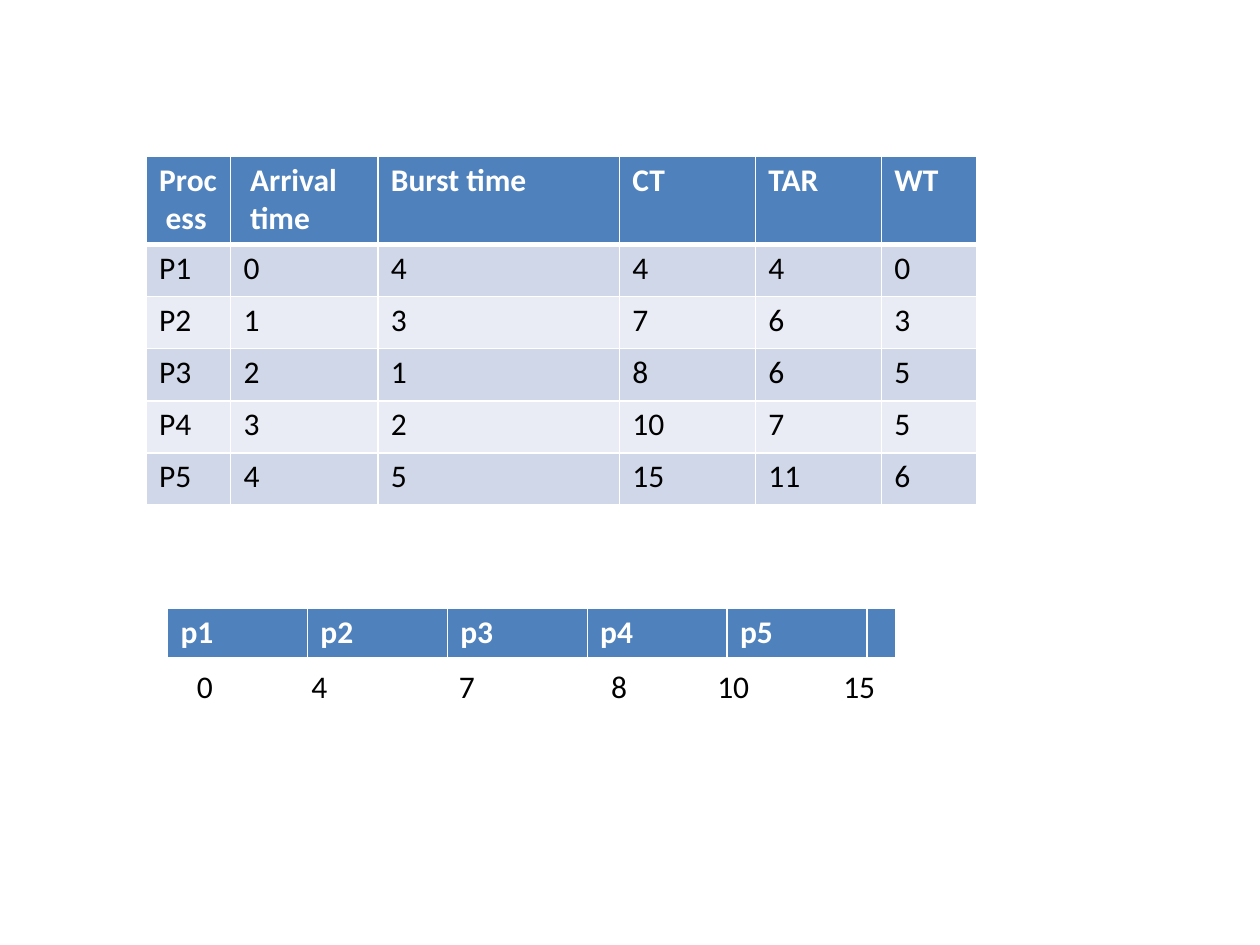
from lxml import etree
from pptx import Presentation
from pptx.dml.color import RGBColor
from pptx.oxml.ns import qn
from pptx.util import Cm, Pt

HEX = {"head": "4F81BC", "odd": "D0D7E8", "even": "E9ECF4",
       "white": "FFFFFF", "black": "000000"}
FONT, SIZE = "Calibri", 18
THIN, THICK = 1, 3
STEP = 0.13  # extra indent of the two-line headings, cm

HEADS = ["Proc\vess", "Arrival\vtime", "Burst time", "CT", "TAR", "WT"]
INDENT = {"Proc\vess": (STEP, -STEP), "Arrival\vtime": (STEP, 0)}
TIMES = [
    ("P1", 0, 4, 4, 4, 0),
    ("P2", 1, 3, 7, 6, 3),
    ("P3", 2, 1, 8, 6, 5),
    ("P4", 3, 2, 10, 7, 5),
    ("P5", 4, 5, 15, 11, 6),
]
TIME_COLS = [1.7, 2.97, 4.87, 2.74, 2.54, 1.91]
TIME_ROWS = [1.78] + [1.05] * len(TIMES)

GANTT = ["p1", "p2", "p3", "p4", "p5", ""]
GANTT_COLS = [2.82] * 5 + [0.58]
TICKS = [(0, 3.94), (4, 6.25), (7, 9.22), (8, 12.29), (10, 14.43), (15, 16.97)]


def put(frame, text, color="black", bold=False, left=0.26, top=0.1,
        indent=(0, 0)):
    """Fill a text frame or cell frame; indent is (margin, first line) in cm."""
    frame.word_wrap = True
    frame.margin_left, frame.margin_top = Cm(left), Cm(top)
    frame.margin_right = frame.margin_bottom = 0
    para = frame.paragraphs[0]
    para.text = str(text)
    margin, first = indent
    props = para._p.get_or_add_pPr()
    props.set("marL", str(Cm(margin)))
    props.set("indent", str(Cm(first)))
    for font in [para.font] + [run.font for run in para.runs]:
        font.name, font.size, font.bold = FONT, Pt(SIZE), bold
        font.color.rgb = RGBColor.from_string(HEX[color])


def edge(cell, top, bottom):
    props = cell._tc.get_or_add_tcPr()
    sides = {"lnL": THIN, "lnR": THIN, "lnT": top, "lnB": bottom}
    for tag, width in sides.items():
        line = etree.SubElement(props, qn("a:" + tag), w=str(Pt(width)))
        fill = etree.SubElement(line, qn("a:solidFill"))
        etree.SubElement(fill, qn("a:srgbClr"), val=HEX["white"])


def grid(slide, rows, left, top, widths, heights):
    """Draw a table whose first row is a heading and whose others are banded."""
    table = slide.shapes.add_table(
        len(rows), len(widths), Cm(left), Cm(top),
        Cm(sum(widths)), Cm(sum(heights))).table
    table.horz_banding = False
    for col, width in zip(table.columns, widths):
        col.width = Cm(width)
    for r, (row, height) in enumerate(zip(rows, heights)):
        table.rows[r].height = Cm(height)
        head = r == 0
        band = "head" if head else "odd" if r % 2 else "even"
        for c, text in enumerate(row):
            cell = table.cell(r, c)
            put(cell.text_frame, text, color="white" if head else "black",
                bold=head, left=0, indent=INDENT.get(text, (0, 0)))
            cell.margin_left, cell.margin_top = Cm(0.26), Cm(0.1)
            cell.margin_right = cell.margin_bottom = 0
            edge(cell, THICK if r == 1 else THIN, THICK if head else THIN)
            cell.fill.solid()
            cell.fill.fore_color.rgb = RGBColor.from_string(HEX[band])


def main():
    deck = Presentation()
    deck.slide_width, deck.slide_height = Cm(25.4), Cm(19.05)
    slide = deck.slides.add_slide(deck.slide_layouts[6])

    grid(slide, [HEADS] + TIMES, 2.95, 3.15, TIME_COLS, TIME_ROWS)
    grid(slide, [GANTT], 3.38, 12.27, GANTT_COLS, [1.03])
    for tick, left in TICKS:
        width = 0.71 if tick > 9 else 0.38
        box = slide.shapes.add_textbox(Cm(left), Cm(13.39), Cm(width), Cm(0.84))
        put(box.text_frame, tick, left=0.03, top=0.06)

    deck.save("out.pptx")


if __name__ == "__main__":
    main()
